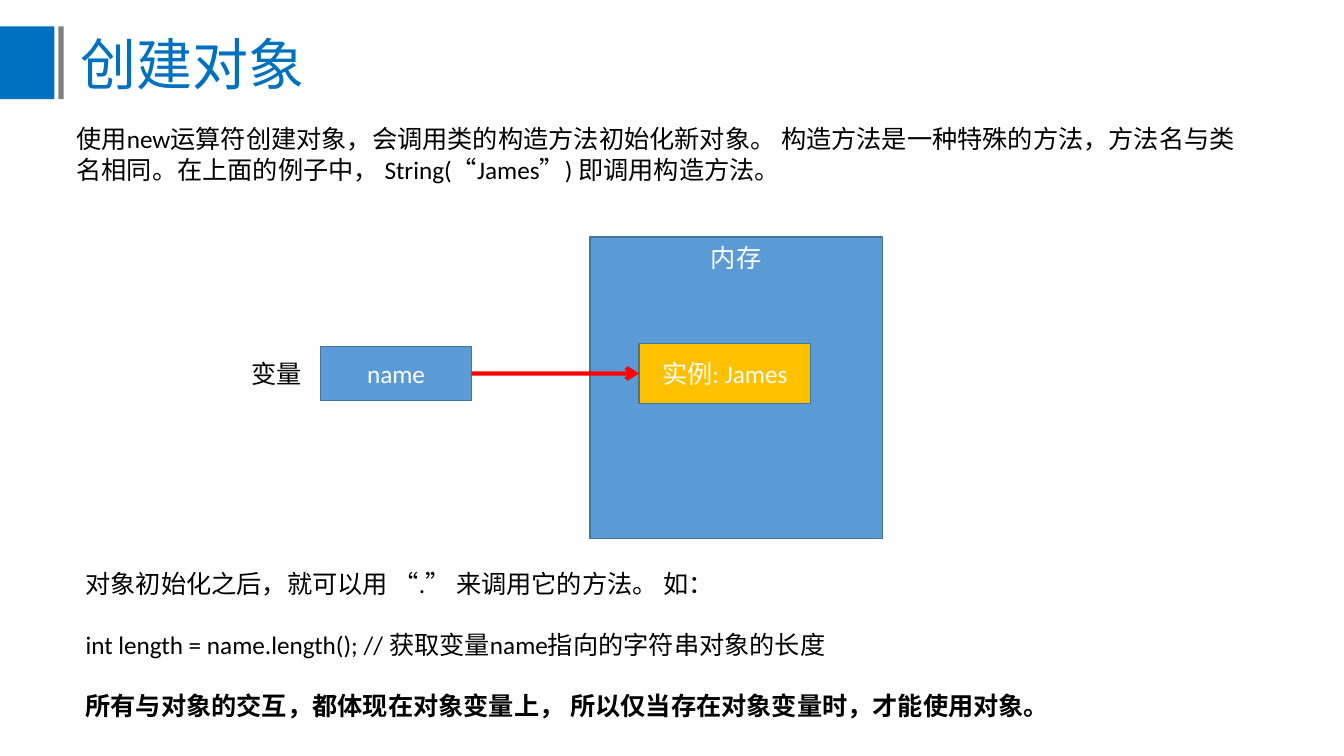
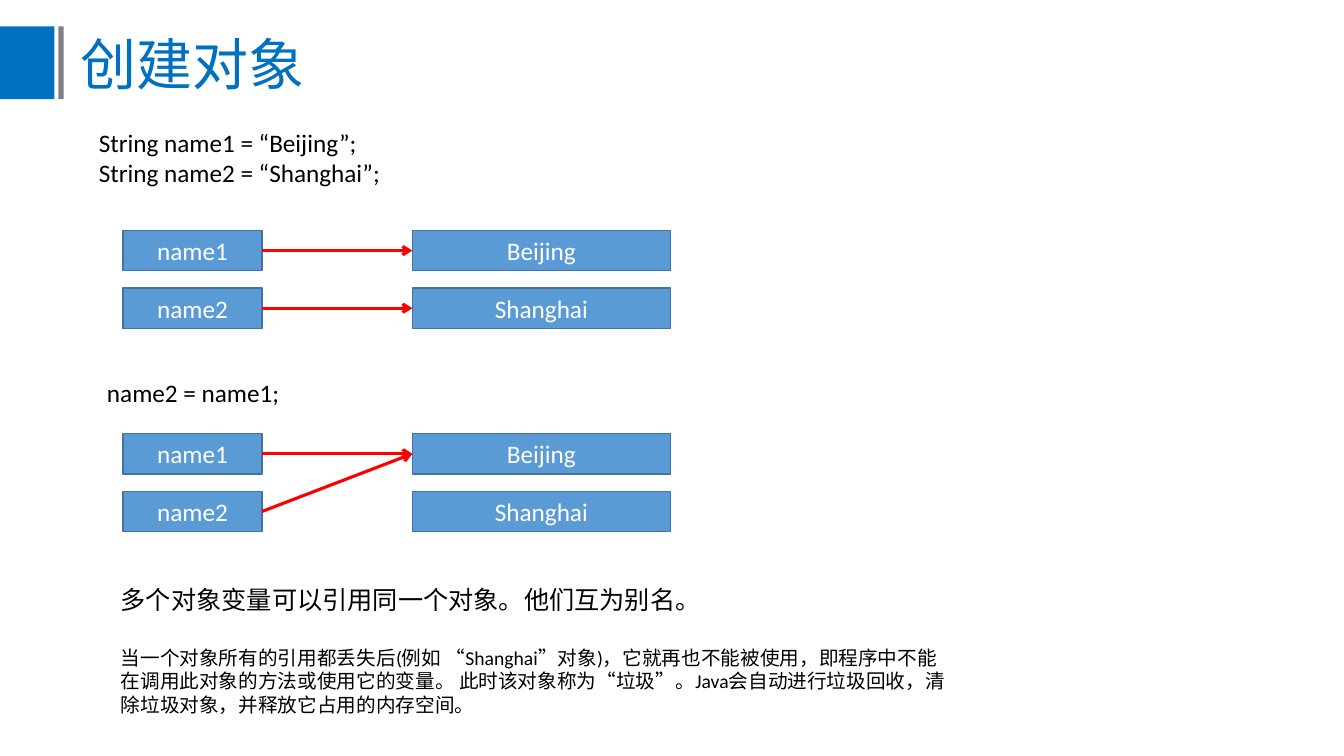
"""Build two slides on creating objects and on references to them."""
from dataclasses import dataclass

from lxml import etree
from pptx import Presentation
from pptx.dml.color import RGBColor
from pptx.enum.shapes import MSO_CONNECTOR, MSO_SHAPE
from pptx.enum.text import MSO_ANCHOR, MSO_AUTO_SIZE, PP_ALIGN
from pptx.oxml.ns import qn
from pptx.shapes.autoshape import Shape
from pptx.slide import Slide
from pptx.text.text import TextFrame
from pptx.util import Inches, Pt

RECTANGLE = MSO_SHAPE.RECTANGLE
STRAIGHT = MSO_CONNECTOR.STRAIGHT
TOP, MIDDLE = MSO_ANCHOR.TOP, MSO_ANCHOR.MIDDLE
LEFT, CENTER = PP_ALIGN.LEFT, PP_ALIGN.CENTER
NO_AUTOFIT = MSO_AUTO_SIZE.NONE

SLIDE_WIDTH, SLIDE_HEIGHT = Inches(13.33), Inches(7.5)
COLUMN, ROW = SLIDE_WIDTH / 100, SLIDE_HEIGHT / 100
TITLE_ONLY_LAYOUT = 5
LEFT_SITE, RIGHT_SITE = 1, 3

BODY_FONT, CHINESE_FONT = "Calibri", "Noto Sans CJK SC"
BODY_SIZE, NOTE_SIZE, TITLE_SIZE = 18, 14, 40
BLANK_LINE = 22

COLORS = {
    "title": "0070C0",
    "bar": "808080",
    "box": "5B9BD5",
    "outline": "43739E",
    "instance": "FFC000",
    "arrow": "FF0000",
    "text": "000000",
    "light": "FFFFFF",
}


@dataclass(frozen=True)
class Area:
    """A rectangle in grid columns and rows."""

    column: float
    row: float
    columns: float
    rows: float

    def emu(self) -> tuple[int, int, int, int]:
        """Return left, top, width and height in EMU."""
        return (round(self.column * COLUMN), round(self.row * ROW),
                round(self.columns * COLUMN), round(self.rows * ROW))


@dataclass(frozen=True)
class Line:
    """One paragraph with its style."""

    text: str
    size: float = BODY_SIZE
    bold: bool = False
    before: float = 0
    color: str = "text"
    font: str = BODY_FONT
    align: PP_ALIGN = LEFT


@dataclass(frozen=True)
class Box:
    """A labelled, outlined rectangle."""

    area: Area
    label: str
    fill: str = "box"
    anchor: MSO_ANCHOR = MIDDLE


TITLE_AREA = Area(5.25, 3.2, 20, 10.27)
TITLE_BARS = ((Area(0, 3.5, 4.05, 9.6), "title"), (Area(4.35, 3.5, 0.38, 9.6), "bar"))

VARIABLE_COLUMN, VARIABLE_COLUMNS = 9.15, 10.35
OBJECT_COLUMN, OBJECT_COLUMNS = 30.68, 19.2
REFERENCE_ROWS, REFERENCE_STEP = 5.33, 7.63
VARIABLES = ("name1", "name2")
OBJECTS = ("Beijing", "Shanghai")


def rgb(name: str) -> RGBColor:
    """Look up a named colour."""
    return RGBColor.from_string(COLORS[name])


def write(frame: TextFrame, lines: list[Line]) -> None:
    """Fill a text frame with styled paragraphs."""
    for index, line in enumerate(lines):
        paragraph = frame.add_paragraph() if index else frame.paragraphs[0]
        paragraph.alignment = line.align
        paragraph.space_before = Pt(line.before)
        run = paragraph.add_run()
        run.text = line.text
        run.font.size = Pt(line.size)
        run.font.bold = line.bold
        run.font.name = line.font
        run.font.color.rgb = rgb(line.color)
        east_asian = etree.SubElement(run.font._element, qn("a:ea"))
        east_asian.set("typeface", CHINESE_FONT)


def add_text(slide: Slide, area: Area, lines: list[Line]) -> None:
    """Add a wrapping text box."""
    frame = slide.shapes.add_textbox(*area.emu()).text_frame
    frame.word_wrap = True
    write(frame, lines)


def add_rectangle(slide: Slide, area: Area, fill: str) -> Shape:
    """Add a plain filled rectangle."""
    rectangle = slide.shapes.add_shape(RECTANGLE, *area.emu())
    rectangle.shadow.inherit = False
    rectangle.fill.solid()
    rectangle.fill.fore_color.rgb = rgb(fill)
    rectangle.line.fill.background()
    return rectangle


def add_box(slide: Slide, box: Box) -> Shape:
    """Add an outlined rectangle with a centred label."""
    rectangle = add_rectangle(slide, box.area, box.fill)
    rectangle.line.color.rgb = rgb("outline")
    rectangle.line.width = Pt(1)
    rectangle.text_frame.vertical_anchor = box.anchor
    write(rectangle.text_frame, [Line(box.label, color="light", align=CENTER)])
    return rectangle


def add_arrow(slide: Slide, source: Shape, target: Shape, width: float) -> None:
    """Join the right side of one box to the left side of another."""
    arrow = slide.shapes.add_connector(STRAIGHT, 0, 0, 0, 0)
    arrow.begin_connect(source, RIGHT_SITE)
    arrow.end_connect(target, LEFT_SITE)
    arrow.line.color.rgb = rgb("arrow")
    arrow.line.width = Pt(width)
    etree.SubElement(arrow.line._get_or_add_ln(), qn("a:tailEnd")).set("type", "arrow")
    etree.SubElement(arrow._element.spPr, qn("a:effectLst"))


def add_titled_slide(deck: Presentation, title: str) -> Slide:
    """Add a slide with the shared title and bars."""
    slide = deck.slides.add_slide(deck.slide_layouts[TITLE_ONLY_LAYOUT])
    heading = slide.shapes.title
    heading.left, heading.top, heading.width, heading.height = TITLE_AREA.emu()
    frame = heading.text_frame
    frame.word_wrap = True
    frame.auto_size = NO_AUTOFIT
    frame.vertical_anchor = TOP
    write(frame, [Line(title, TITLE_SIZE, color="title", font=CHINESE_FONT)])
    for area, fill in TITLE_BARS:
        add_rectangle(slide, area, fill)
    return slide


def add_references(slide: Slide, first_row: float, targets: tuple[int, ...]) -> None:
    """Draw variables beside objects, with an arrow to each variable's target."""
    def stack(labels: tuple[str, ...], column: float, columns: float) -> list[Shape]:
        return [
            add_box(slide, Box(Area(column, first_row + index * REFERENCE_STEP,
                                    columns, REFERENCE_ROWS), label))
            for index, label in enumerate(labels)
        ]

    variables = stack(VARIABLES, VARIABLE_COLUMN, VARIABLE_COLUMNS)
    objects = stack(OBJECTS, OBJECT_COLUMN, OBJECT_COLUMNS)
    for variable, target in zip(variables, targets):
        add_arrow(slide, variable, objects[target], 2.25)


def build_creation(deck: Presentation) -> None:
    """Build the slide on constructors and method calls."""
    slide = add_titled_slide(deck, "创建对象")
    add_text(slide, Area(4.95, 15.7, 89.48, 9.47), [
        Line("使用new运算符创建对象，会调用类的构造方法初始化新对象。 构造方法是一种特殊的方法，"
             "方法名与类名相同。在上面的例子中， String(“James”) 即调用构造方法。"),
    ])
    variable = add_box(slide, Box(Area(23.87, 45.8, 11.2, 7.2), "name"))
    add_box(slide, Box(Area(43.9, 31.33, 21.75, 39.87), "内存", anchor=TOP))
    instance = add_box(slide, Box(Area(47.55, 45.47, 12.75, 7.87), "实例: James", "instance"))
    add_arrow(slide, variable, instance, 3)
    add_text(slide, Area(17.97, 46.67, 9.53, 5.33), [Line("变量")])
    add_text(slide, Area(5.63, 74.5, 89.48, 21.47), [
        Line("对象初始化之后，就可以用 “.” 来调用它的方法。 如："),
        Line("int length = name.length(); // 获取变量name指向的字符串对象的长度", before=BLANK_LINE),
        Line("所有与对象的交互，都体现在对象变量上， 所以仅当存在对象变量时，才能使用对象。",
             bold=True, before=BLANK_LINE),
    ])


def build_aliases(deck: Presentation) -> None:
    """Build the slide on aliases and garbage."""
    slide = add_titled_slide(deck, "创建对象")
    add_text(slide, Area(6.62, 16.13, 79.35, 9.47), [
        Line("String name1 = “Beijing”;"),
        Line("String name2 = “Shanghai”;"),
    ])
    add_references(slide, 30.48, (0, 1))
    add_text(slide, Area(7.22, 49.2, 34.28, 5.33), [Line("name2 = name1;")])
    add_references(slide, 57.36, (0, 0))
    add_text(slide, Area(8.25, 76.67, 63.68, 18.8), [
        Line("多个对象变量可以引用同一个对象。他们互为别名。"),
        Line("当一个对象所有的引用都丢失后(例如 “Shanghai”对象)，它就再也不能被使用，"
             "即程序中不能在调用此对象的方法或使用它的变量。 此时该对象称为“垃圾”。"
             "Java会自动进行垃圾回收，清除垃圾对象，并释放它占用的内存空间。",
             NOTE_SIZE, before=BLANK_LINE),
    ])


def main() -> None:
    """Build and save the deck."""
    deck = Presentation()
    deck.slide_width, deck.slide_height = SLIDE_WIDTH, SLIDE_HEIGHT
    build_creation(deck)
    build_aliases(deck)
    deck.save("out.pptx")


if __name__ == "__main__":
    main()
